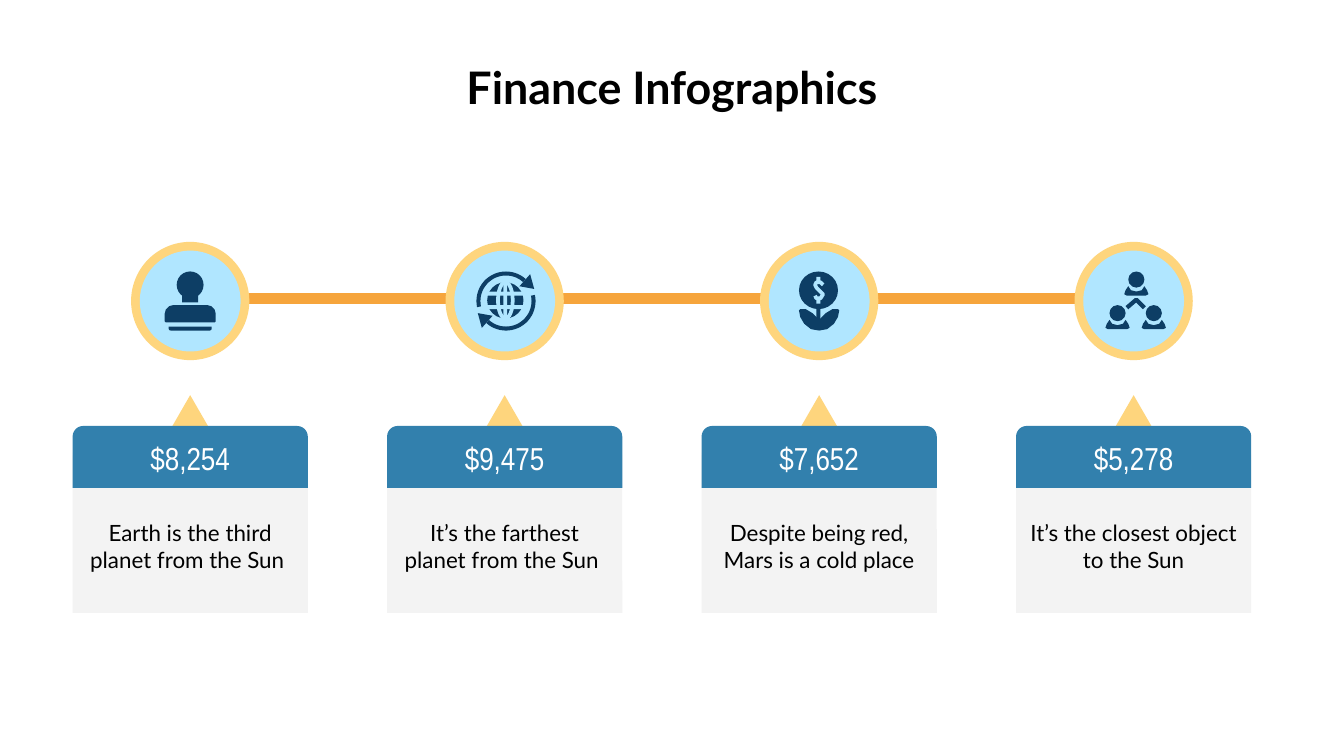
from math import cos, radians, sin

from lxml.etree import SubElement
from pptx import Presentation
from pptx.dml.color import RGBColor
from pptx.enum.shapes import MSO_CONNECTOR, MSO_SHAPE
from pptx.enum.text import MSO_ANCHOR, PP_ALIGN
from pptx.oxml.ns import qn
from pptx.util import Inches, Pt

BLACK = RGBColor(0x00, 0x00, 0x00)
WHITE = RGBColor(0xFF, 0xFF, 0xFF)
NAVY = RGBColor(0x0D, 0x3E, 0x65)
BLUE = RGBColor(0x32, 0x80, 0xAD)
SKY = RGBColor(0xB0, 0xE6, 0xFF)
YELLOW = RGBColor(0xFE, 0xD5, 0x7D)
ORANGE = RGBColor(0xF6, 0xA5, 0x3C)
GREY = RGBColor(0xF3, 0xF3, 0xF3)

CARD_LEFT, CARD_TOP, CARD_W = 0.54, 3.17, 1.75
PITCH = 2.34
ICON_Y = 2.24


def add_filled(slide, kind, x, y, w, h, color, adjustments=()):
    sp = slide.shapes.add_shape(kind, Inches(x), Inches(y), Inches(w), Inches(h))
    sp.shadow.inherit = False
    sp.fill.solid()
    sp.fill.fore_color.rgb = color
    sp.line.fill.background()
    for i, value in enumerate(adjustments):
        sp.adjustments[i] = value
    return sp


def add_outline(slide, cx, points, color, stroke=None):
    """Filled polygon, or an open line when stroke is given; points are relative to the icon centre."""
    placed = [(Inches(cx + x), Inches(ICON_Y + y)) for x, y in points]
    builder = slide.shapes.build_freeform(*placed[0])
    builder.add_line_segments(placed[1:], close=stroke is None)
    sp = builder.convert_to_shape()
    sp.shadow.inherit = False
    if stroke is None:
        sp.fill.solid()
        sp.fill.fore_color.rgb = color
        sp.line.fill.background()
    else:
        sp.fill.background()
        sp.line.color.rgb = color
        sp.line.width = Pt(stroke)


def add_part(slide, cx, kind, x, y, w, h, color=NAVY, adjustments=()):
    """Preset shape placed relative to the icon centre."""
    return add_filled(slide, kind, cx + x, ICON_Y + y, w, h, color, adjustments)


def mirrored(points):
    """Close a left half into a symmetric outline."""
    return points + [(-x, y) for x, y in reversed(points)]


def format_text(tf, text, font, size, color, bold=False):
    tf.word_wrap = True
    tf.vertical_anchor = MSO_ANCHOR.MIDDLE
    tf.margin_left = tf.margin_right = tf.margin_top = tf.margin_bottom = Inches(0.1)
    tf.text = text
    p = tf.paragraphs[0]
    p.alignment = PP_ALIGN.CENTER
    for r in p.runs:
        r.font.name = font
        r.font.size = Pt(size)
        r.font.bold = bold
        r.font.color.rgb = color


def add_text(slide, x, y, w, h, *style):
    box = slide.shapes.add_textbox(Inches(x), Inches(y), Inches(w), Inches(h))
    format_text(box.text_frame, *style)


def add_title(slide, text):
    title = slide.shapes.title
    title.left, title.top = Inches(0.2), Inches(0.33)
    title.width, title.height = Inches(9.6), Inches(0.63)
    format_text(title.text_frame, text, "Lato", 24, BLACK, True)


def add_timeline(slide):
    line = slide.shapes.add_connector(
        MSO_CONNECTOR.STRAIGHT, Inches(1.48), Inches(2.22), Inches(8.52), Inches(2.22))
    line.line.color.rgb = ORANGE
    line.line.width = Pt(6)
    SubElement(line._element.spPr, qn("a:effectLst"))


def draw_stamp(slide, cx):
    add_part(slide, cx, MSO_SHAPE.OVAL, -0.1, -0.22, 0.2, 0.2)
    add_part(slide, cx, MSO_SHAPE.RECTANGLE, -0.06, -0.06, 0.12, 0.07)
    add_part(slide, cx, MSO_SHAPE.ROUND_2_SAME_RECTANGLE, -0.19, 0.03, 0.38, 0.13,
             adjustments=(0.5, 0.1))
    add_part(slide, cx, MSO_SHAPE.ROUND_2_SAME_RECTANGLE, -0.16, 0.19, 0.32, 0.03,
             adjustments=(0, 0.5))


def draw_globe(slide, cx):
    add_part(slide, cx, MSO_SHAPE.OVAL, -0.13, -0.14, 0.27, 0.27)
    meridian = add_part(slide, cx, MSO_SHAPE.OVAL, -0.05, -0.14, 0.11, 0.27)
    meridian.fill.background()
    meridian.line.color.rgb = SKY
    meridian.line.width = Pt(2)
    add_part(slide, cx, MSO_SHAPE.RECTANGLE, -0.01, -0.14, 0.03, 0.27, SKY)
    for y in (-0.07, 0.03):
        add_part(slide, cx, MSO_SHAPE.RECTANGLE, -0.13, y, 0.27, 0.03, SKY)

    angles = [radians(a) for a in range(168, 313, 6)]
    arc = [(0.22 * cos(a), 0.22 * sin(a)) for a in angles]
    arc += [(0.19 * cos(a), 0.19 * sin(a)) for a in reversed(angles)]
    head = [(0.18, -0.2), (0.21, -0.09), (0.1, -0.11)]
    for sign in (1, -1):
        for points in (arc, head):
            add_outline(slide, cx + 0.01, [(sign * x, sign * y) for x, y in points], NAVY)


def draw_money_plant(slide, cx):
    add_part(slide, cx, MSO_SHAPE.OVAL, -0.15, -0.22, 0.29, 0.28)
    add_part(slide, cx, MSO_SHAPE.RECTANGLE, -0.02, 0.05, 0.03, 0.1)
    leaves = [(0, 0.14), (-0.05, 0.09), (-0.1, 0.06), (-0.14, 0.06), (-0.15, 0.07),
              (-0.14, 0.12), (-0.11, 0.17), (-0.06, 0.21), (0, 0.22)]
    add_outline(slide, cx, mirrored(leaves), NAVY)
    dollar = [(0.03, -0.12), (0.01, -0.14), (-0.02, -0.14), (-0.03, -0.12), (-0.02, -0.1),
              (0.01, -0.07), (0.03, -0.05), (0.01, -0.02), (-0.02, -0.02), (-0.03, -0.04)]
    add_outline(slide, cx, dollar, SKY, 2)
    for y in (-0.18, -0.02):
        add_part(slide, cx, MSO_SHAPE.RECTANGLE, -0.02, y, 0.03, 0.04, SKY)


def draw_team(slide, cx):
    body = [(0, 0.15), (-0.04, 0.14), (-0.06, 0.11), (-0.08, 0.14), (-0.09, 0.17), (-0.07, 0.18)]
    for x, y in ((0.02, -0.22), (-0.12, 0.03), (0.15, 0.03)):
        add_part(slide, cx, MSO_SHAPE.OVAL, x - 0.06, y, 0.12, 0.12)
        add_outline(slide, cx + x, [(px, y + py) for px, py in mirrored(body)], NAVY)
    add_outline(slide, cx, [(-0.05, 0.05), (0.02, -0.01), (0.08, 0.05)], NAVY, 2.25)


def add_badge(slide, cx, draw_icon):
    for size, color in ((0.88, YELLOW), (0.75, SKY)):
        add_part(slide, cx, MSO_SHAPE.OVAL, -size / 2, -size / 2, size, size, color)
    draw_icon(slide, cx)


def add_card(slide, left, amount, text):
    add_filled(slide, MSO_SHAPE.ISOSCELES_TRIANGLE, left + (CARD_W - 0.45) / 2, 2.94,
               0.45, 0.39, YELLOW)
    for height, color in ((1.39, GREY), (0.46, BLUE)):
        add_filled(slide, MSO_SHAPE.ROUND_2_SAME_RECTANGLE, left, CARD_TOP, CARD_W, height,
                   color, (0.17, 0))
    add_text(slide, left, CARD_TOP, CARD_W, 0.47, amount, "Arial Narrow", 17, WHITE)
    add_text(slide, left, 3.77, CARD_W, 0.59, text, "Lato", 12, BLACK)


def main():
    prs = Presentation()
    prs.slide_width, prs.slide_height = Inches(10), Inches(10) * 9 // 16
    slide = prs.slides.add_slide(prs.slide_layouts[5])
    add_title(slide, "Finance Infographics")
    add_timeline(slide)
    steps = [
        (draw_stamp, "$8,254", "Earth is the third planet from the Sun "),
        (draw_globe, "$9,475", "It’s the farthest planet from the Sun "),
        (draw_money_plant, "$7,652", "Despite being red,\vMars is a cold place"),
        (draw_team, "$5,278", "It’s the closest object to the Sun"),
    ]
    for i, (draw_icon, amount, text) in enumerate(steps):
        left = CARD_LEFT + i * PITCH
        add_badge(slide, left + CARD_W / 2, draw_icon)
        add_card(slide, left, amount, text)
    prs.save("out.pptx")


if __name__ == "__main__":
    main()
